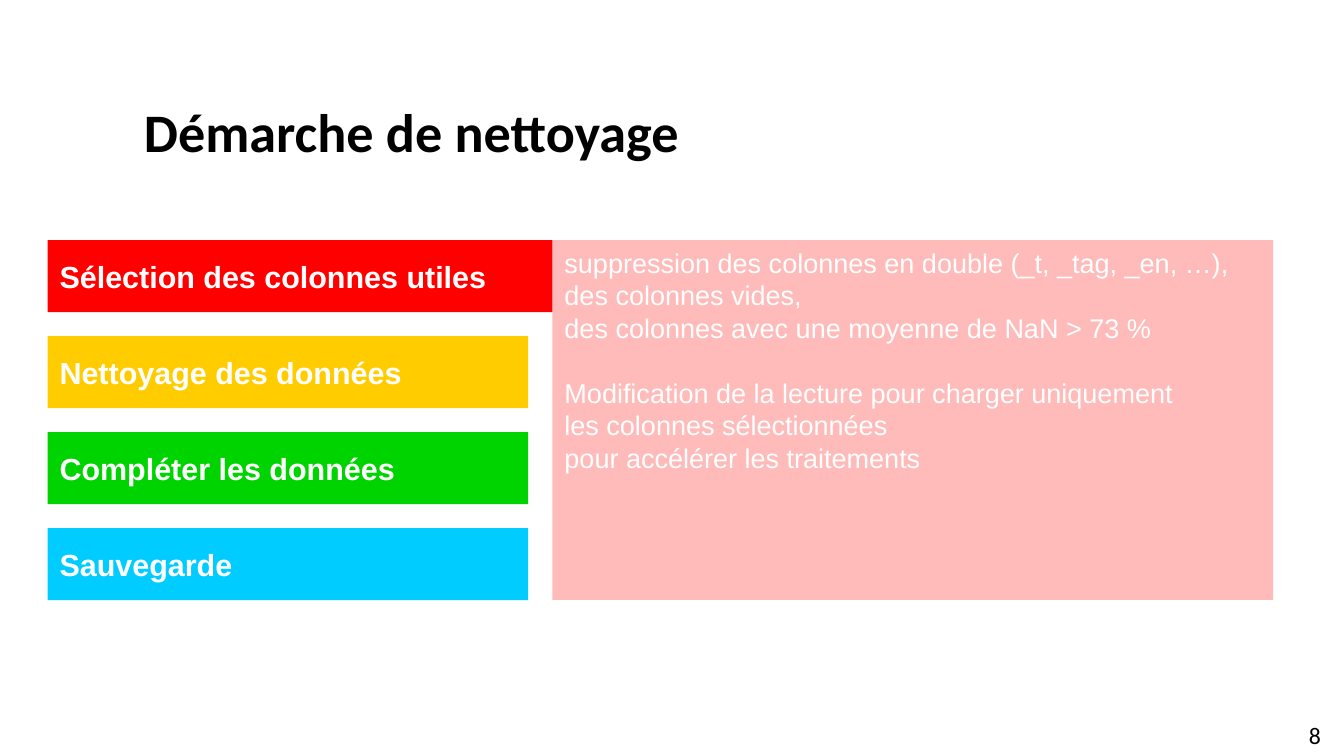
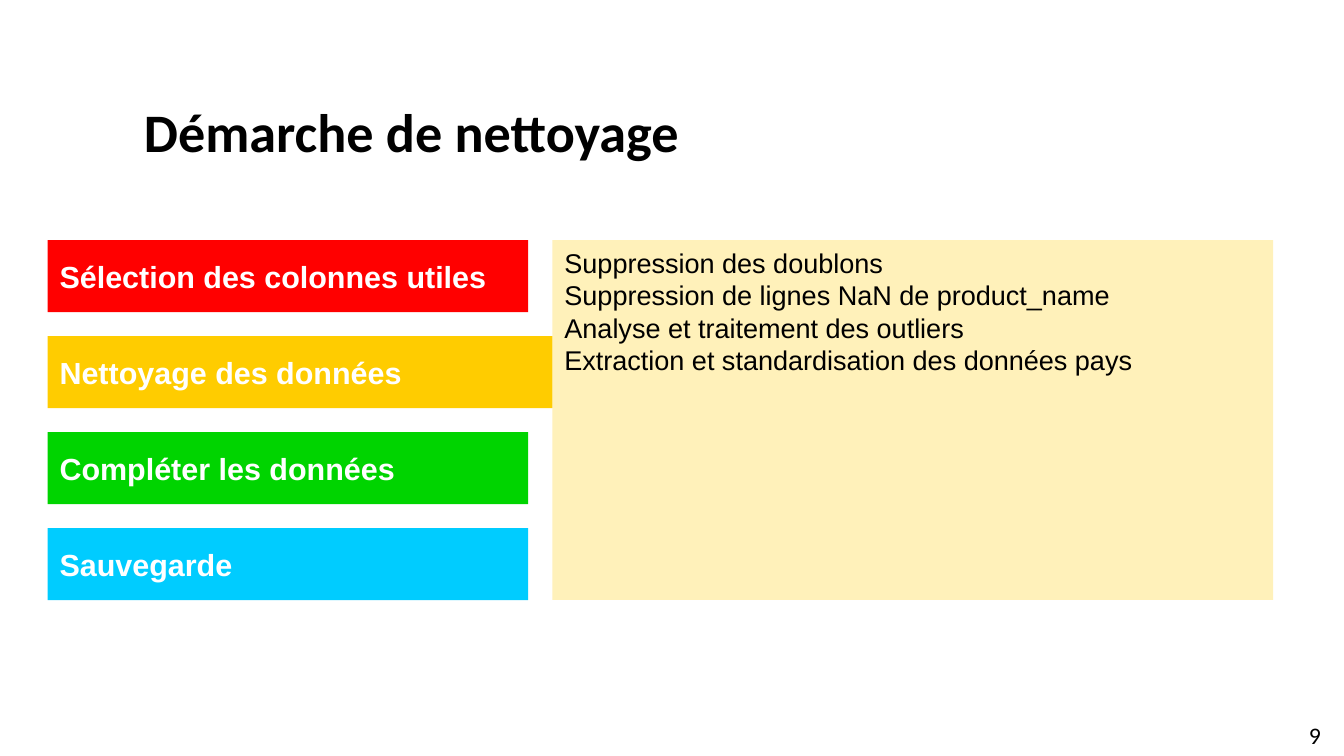
from dataclasses import dataclass

from lxml import etree
from pptx import Presentation
from pptx.dml.color import RGBColor
from pptx.enum.shapes import MSO_SHAPE
from pptx.enum.text import MSO_ANCHOR, PP_ALIGN
from pptx.oxml.ns import qn
from pptx.util import Inches, Pt


@dataclass(frozen=True)
class Theme:
    white: str = "FFFFFF"
    black: str = "000000"
    heading_font: str = "Calibri"
    body_font: str = "Arial"
    title_size: int = 32
    step_size: int = 18
    detail_size: int = 16
    number_size: int = 14
    detail_line: float = 19.2
    panel_opacity: int = 27


THEME = Theme()
STEPS = [
    ("Sélection des colonnes utiles", "FF0000"),
    ("Nettoyage des données", "FFCC00"),
    ("Compléter les données", "00D400"),
    ("Sauvegarde", "00CCFF"),
]
STEP_LEFT, STEP_TOP = 0.39, 1.97
STEP_WIDTH, STEP_HEIGHT, STEP_PITCH = 3.94, 0.59, 0.787
PANEL_LEFT, PANEL_WIDTH, PANEL_HEIGHT = 4.53, 5.91, 2.95

SELECTION_DETAILS = [
    [
        "suppression des colonnes en double (_t, _tag, _en, …),",
        "des colonnes vides,",
        "des colonnes avec une moyenne de NaN > 73 %",
    ],
    [
        "Modification de la lecture pour charger uniquement",
        "les colonnes sélectionnées",
        "pour accélérer les traitements",
    ],
]
CLEANING_DETAILS = [
    [
        "Suppression des doublons",
        "Suppression de lignes NaN de product_name",
        "Analyse et traitement des outliers",
        "Extraction et standardisation des données pays",
    ],
]


def add_run(paragraph, text, font, size, color, bold=False):
    run = paragraph.add_run()
    run.text = text
    run.font.name = font
    run.font.size = Pt(size)
    run.font.bold = bold
    run.font.color.rgb = RGBColor.from_string(color)


def prepare_frame(frame, anchor, horizontal=0, vertical=0):
    frame.word_wrap = True
    frame.vertical_anchor = anchor
    frame.margin_left = frame.margin_right = Inches(horizontal)
    frame.margin_top = frame.margin_bottom = Inches(vertical)


def add_title(slide, text):
    title = slide.shapes.title
    title.left, title.top = Inches(1.18), Inches(0.73)
    title.width, title.height = Inches(9.29), Inches(0.69)
    prepare_frame(title.text_frame, MSO_ANCHOR.MIDDLE)
    paragraph = title.text_frame.paragraphs[0]
    paragraph.alignment = PP_ALIGN.LEFT
    add_run(paragraph, text, THEME.heading_font, THEME.title_size, THEME.black, True)


def add_block(slide, left, top, width, height, color, anchor):
    block = slide.shapes.add_shape(
        MSO_SHAPE.RECTANGLE, Inches(left), Inches(top), Inches(width), Inches(height)
    )
    block.shadow.inherit = False
    block.fill.solid()
    block.fill.fore_color.rgb = RGBColor.from_string(color)
    block.line.fill.background()
    prepare_frame(block.text_frame, anchor, 0.1, 0.05)
    block.text_frame.paragraphs[0].alignment = PP_ALIGN.LEFT
    return block


def set_opacity(shape, percent):
    color = shape.fill._xPr.find(qn("a:solidFill"))[0]
    etree.SubElement(color, qn("a:alpha")).set("val", str(percent * 1000))


def add_steps(slide, active):
    for index, (label, color) in enumerate(STEPS):
        width = PANEL_LEFT - STEP_LEFT if index == active else STEP_WIDTH
        top = STEP_TOP + index * STEP_PITCH
        step = add_block(
            slide, STEP_LEFT, top, width, STEP_HEIGHT, color, MSO_ANCHOR.MIDDLE
        )
        paragraph = step.text_frame.paragraphs[0]
        add_run(paragraph, label, THEME.body_font, THEME.step_size, THEME.white, True)


def add_details(slide, color, text_color, groups):
    panel = add_block(
        slide, PANEL_LEFT, STEP_TOP, PANEL_WIDTH, PANEL_HEIGHT, color, MSO_ANCHOR.TOP
    )
    set_opacity(panel, THEME.panel_opacity)
    frame = panel.text_frame
    for group_index, group in enumerate(groups):
        for line_index, text in enumerate(group):
            first = group_index == line_index == 0
            paragraph = frame.paragraphs[0] if first else frame.add_paragraph()
            paragraph.alignment = PP_ALIGN.LEFT
            paragraph.line_spacing = Pt(THEME.detail_line)
            if group_index and line_index == 0:
                paragraph.space_before = Pt(THEME.detail_line)
            add_run(paragraph, text, THEME.body_font, THEME.detail_size, text_color)


def add_number(slide, number):
    box = slide.shapes.add_textbox(
        Inches(8.26), Inches(5.91), Inches(2.57), Inches(0.17)
    )
    prepare_frame(box.text_frame, MSO_ANCHOR.TOP)
    paragraph = box.text_frame.paragraphs[0]
    paragraph.alignment = PP_ALIGN.RIGHT
    add_run(paragraph, str(number), THEME.heading_font, THEME.number_size, THEME.black)


def add_step_slide(presentation, number, active, text_color, groups):
    slide = presentation.slides.add_slide(presentation.slide_layouts[5])
    add_title(slide, "Démarche de nettoyage")
    add_steps(slide, active)
    add_details(slide, STEPS[active][1], text_color, groups)
    add_number(slide, number)


def main():
    presentation = Presentation()
    presentation.slide_width = Inches(11.02)
    presentation.slide_height = Inches(6.2)
    add_step_slide(presentation, 8, 0, THEME.white, SELECTION_DETAILS)
    add_step_slide(presentation, 9, 1, THEME.black, CLEANING_DETAILS)
    presentation.save("out.pptx")


if __name__ == "__main__":
    main()
